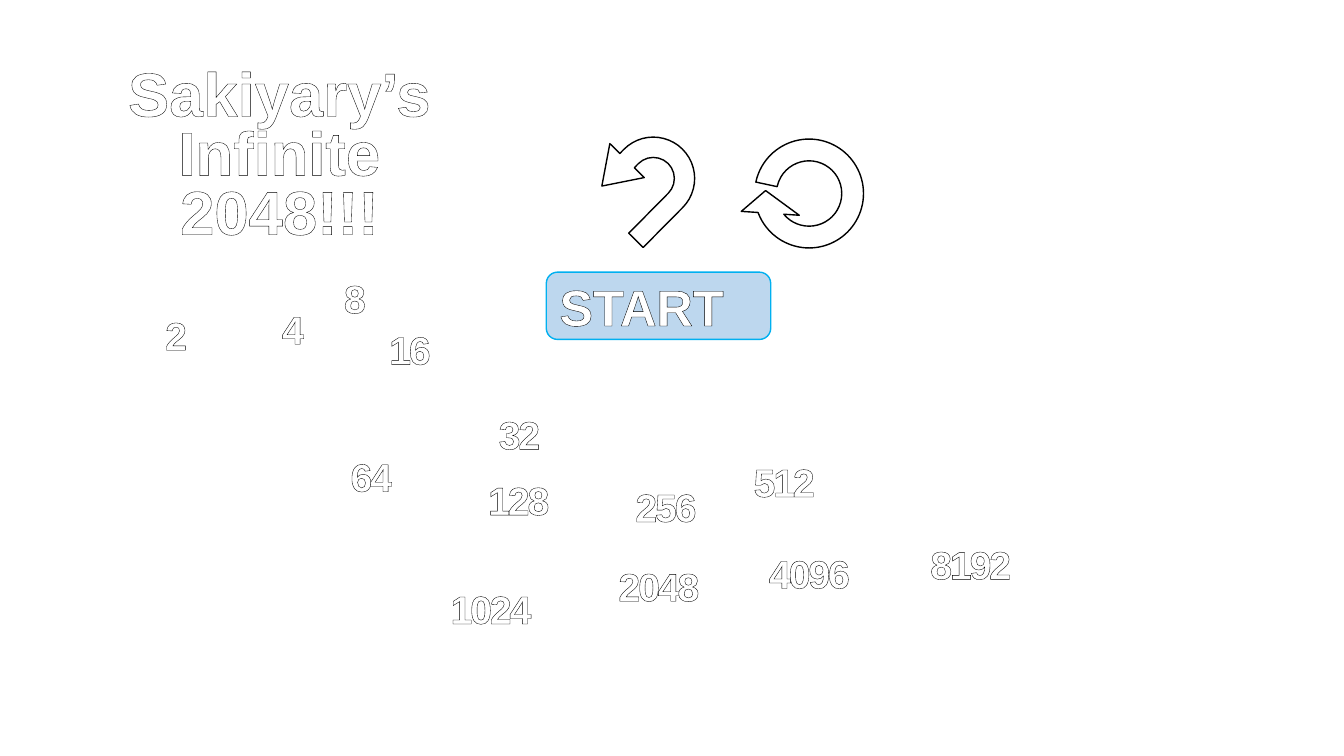
from dataclasses import dataclass

from lxml import etree
from pptx import Presentation
from pptx.dml.color import RGBColor
from pptx.enum.shapes import MSO_SHAPE
from pptx.enum.text import MSO_ANCHOR, MSO_AUTO_SIZE, PP_ALIGN
from pptx.oxml.ns import qn
from pptx.util import Inches, Pt

ROUNDED = MSO_SHAPE.ROUNDED_RECTANGLE
UTURN = MSO_SHAPE.U_TURN_ARROW
CIRCULAR = MSO_SHAPE.CIRCULAR_ARROW
CENTER, JUSTIFY = PP_ALIGN.CENTER, PP_ALIGN.JUSTIFY
MIDDLE = MSO_ANCHOR.MIDDLE
GROW = MSO_AUTO_SIZE.SHAPE_TO_FIT_TEXT


@dataclass(frozen=True)
class Theme:
    font: str = "Arial"
    white: str = "FFFFFF"
    black: str = "000000"
    button_fill: str = "BDD7EE"
    button_line: str = "00B0F0"
    title_size: int = 44
    button_size: int = 36
    tile_size: int = 28
    tile_spacing: float = -1.5
    text_outline: float = 0.75
    shape_outline: float = 1


class SlideBuilder:
    """Places elements on a grid of 100 columns by 100 rows."""

    def __init__(self, presentation, theme):
        self.theme = theme
        self.column = presentation.slide_width / 100
        self.row = presentation.slide_height / 100
        self.slide = presentation.slides.add_slide(presentation.slide_layouts[6])

    def place(self, left, top, width, height):
        return (round(left * self.column), round(top * self.row),
                round(width * self.column), round(height * self.row))

    def letter(self, frame, lines, size, alignment=CENTER, line_spacing=None, spacing=0):
        """Fill a text frame with bold white lettering outlined in black."""
        frame.word_wrap = True
        for index, line in enumerate(lines):
            paragraph = frame.paragraphs[0] if index == 0 else frame.add_paragraph()
            paragraph.alignment = alignment
            if line_spacing:
                paragraph.line_spacing = line_spacing
            paragraph.font.name = self.theme.font
            paragraph.font.size = Pt(size)
            paragraph.font.bold = True
            paragraph.font.color.rgb = RGBColor.from_string(self.theme.white)
            run = paragraph.add_run()
            run.text = line
            self.outline(run, spacing)

    def outline(self, run, spacing):
        properties = run._r.get_or_add_rPr()
        if spacing:
            properties.set("spc", str(round(spacing * 100)))
        line = etree.Element(qn("a:ln"), w=str(Pt(self.theme.text_outline)))
        fill = etree.SubElement(line, qn("a:solidFill"))
        etree.SubElement(fill, qn("a:srgbClr"), val=self.theme.black)
        properties.insert(0, line)

    def text(self, box, lines, size, **style):
        frame = self.slide.shapes.add_textbox(*self.place(*box)).text_frame
        self.letter(frame, lines, size, **style)
        frame.auto_size = GROW

    def shape(self, kind, box, fill, line, adjustments=()):
        shape = self.slide.shapes.add_shape(kind, *self.place(*box))
        shape.shadow.inherit = False
        shape.fill.solid()
        shape.fill.fore_color.rgb = RGBColor.from_string(fill)
        shape.line.color.rgb = RGBColor.from_string(line)
        shape.line.width = Pt(self.theme.shape_outline)
        for index, value in enumerate(adjustments):
            shape.adjustments[index] = value
        return shape

    def button(self, box, label):
        shape = self.shape(ROUNDED, box, self.theme.button_fill, self.theme.button_line)
        shape.text_frame.vertical_anchor = MIDDLE
        self.letter(shape.text_frame, [label], self.theme.button_size, JUSTIFY)

    def tile(self, number, left, top, width):
        spacing = self.theme.tile_spacing if number >= 8 else 0
        self.text((left, top, width, 7.6), [str(number)], self.theme.tile_size,
                  spacing=spacing)

    def arrow(self, kind, box, adjustments, rotation=0, mirrored=False):
        shape = self.shape(kind, box, self.theme.white, self.theme.black, adjustments)
        shape.rotation = rotation
        if mirrored:
            shape._element.spPr.find(qn("a:xfrm")).set("flipH", "1")


# Left, top and width of each tile, from 2 upwards in powers of two
TILES = [
    (11.5, 40.5, 3.2), (20.2, 39.7, 3.2), (23.8, 35.6, 5.2), (27.9, 42.4, 5.2),
    (35.7, 53.6, 5.9), (24.4, 59.2, 6.45), (35, 62.3, 7.2), (45.6, 63.2, 7.9),
    (54.9, 59.9, 6.9), (31.95, 76.7, 9.15), (44.3, 73.7, 9.45), (55.5, 72, 9.45),
    (67.65, 70.8, 9.15),
]


def main():
    presentation = Presentation()
    presentation.slide_width = Inches(13.33)
    presentation.slide_height = Inches(7.5)
    theme = Theme()
    builder = SlideBuilder(presentation, theme)

    builder.text((4.3, 8.5, 33, 25.1), ["Sakiyary’s", "Infinite", "2048!!!"],
                 theme.title_size, line_spacing=0.8)
    builder.button((40.65, 36, 16.7, 8.9), "START")
    for exponent, position in enumerate(TILES, start=1):
        builder.tile(2 ** exponent, *position)
    builder.arrow(UTURN, (44.25, 17.2, 7.2, 12.9), (0.21, 0.25, 0.37, 0.44, 0.85),
                  rotation=44.7, mirrored=True)
    builder.arrow(CIRCULAR, (54.8, 16, 10.8, 19.2), (0.15, 18.55, 91.76, 115.27, 0.2))

    presentation.save("out.pptx")


if __name__ == "__main__":
    main()
